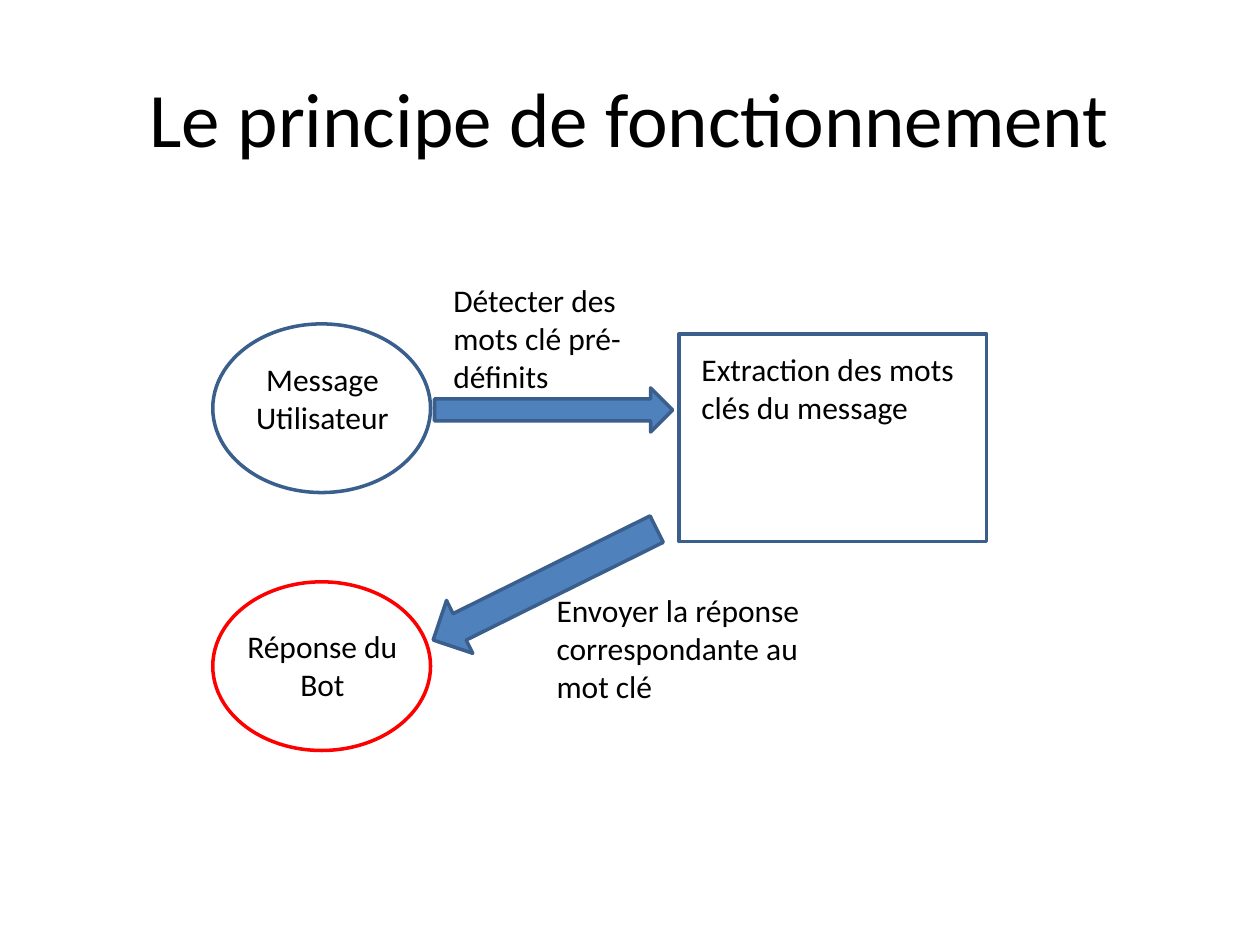
from pptx import Presentation
from pptx.dml.color import RGBColor
from pptx.enum.shapes import MSO_SHAPE as SHAPE
from pptx.enum.text import MSO_ANCHOR as ANCHOR, PP_ALIGN as ALIGN
from pptx.util import Cm, Pt

BLACK = RGBColor(0x00, 0x00, 0x00)
BLUE = RGBColor(0x4F, 0x81, 0xBD)
NAVY = RGBColor(0x3A, 0x5F, 0x8C)
RED = RGBColor(0xFF, 0x00, 0x00)


class Diagram:
    font = "Calibri"
    line_width = Pt(2)

    def __init__(self, slide):
        self.s = slide

    def text(self, text, x, y, w, h, size=18, align=ALIGN.LEFT, anchor=ANCHOR.TOP):
        sp = self.s.shapes.add_textbox(Cm(x), Cm(y), Cm(w), Cm(h))
        tf = sp.text_frame
        tf.word_wrap = True
        tf.vertical_anchor = anchor
        p = tf.paragraphs[0]
        p.alignment = align
        r = p.add_run()
        r.text = text
        r.font.name = self.font
        r.font.size = Pt(size)
        r.font.color.rgb = BLACK

    def shape(self, kind, x, y, w, h, line=NAVY, fill=None, rotation=0):
        sp = self.s.shapes.add_shape(kind, Cm(x), Cm(y), Cm(w), Cm(h))
        sp.shadow.inherit = False
        sp.rotation = rotation
        sp.line.color.rgb = line
        sp.line.width = self.line_width
        if fill is None:
            sp.fill.background()
        else:
            sp.fill.solid()
            sp.fill.fore_color.rgb = fill

    def bubble(self, text, y, text_y, line):
        self.shape(SHAPE.OVAL, 4.29, y, 4.39, 3.4, line)
        self.text(text, 4.7, text_y, 3.6, 1.8, align=ALIGN.CENTER)

    def arrow(self, kind, x, y, w, h, rotation=0):
        self.shape(kind, x, y, w, h, fill=BLUE, rotation=rotation)


prs = Presentation()
prs.slide_width, prs.slide_height = Cm(25.4), Cm(19.05)
d = Diagram(prs.slides.add_slide(prs.slide_layouts[6]))

d.text("Le principe de fonctionnement", 1.27, 0.76, 22.86, 3.18,
       size=44, align=ALIGN.CENTER, anchor=ANCHOR.MIDDLE)

d.bubble("Message Utilisateur", 6.53, 7.14, NAVY)
d.shape(SHAPE.RECTANGLE, 13.69, 6.73, 6.2, 4.19)
d.text("Extraction des mots clés du message", 13.89, 6.93, 5.8, 1.8)
d.bubble("Réponse du Bot", 11.73, 12.52, RED)

d.arrow(SHAPE.RIGHT_ARROW, 8.76, 7.82, 4.8, 0.89)
d.arrow(SHAPE.DOWN_ARROW, 10.39, 9.27, 1.19, 5.03, rotation=63.6)
d.text("Détecter des mots clé pré-définits", 8.89, 5.54, 4, 2.57)
d.text("Envoyer la réponse correspondante au mot clé", 10.97, 11.79, 5.5, 2.57)

prs.save("out.pptx")
